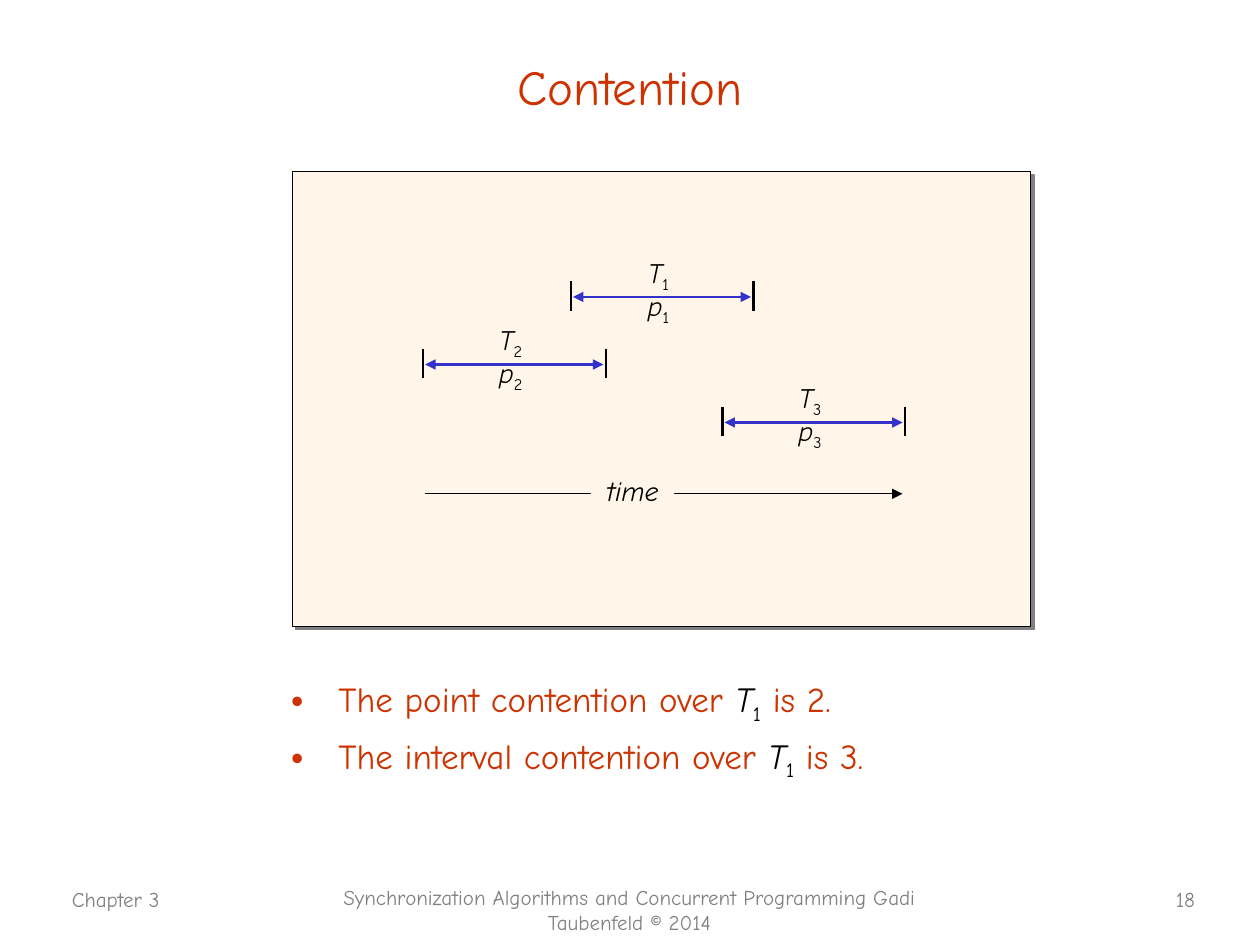
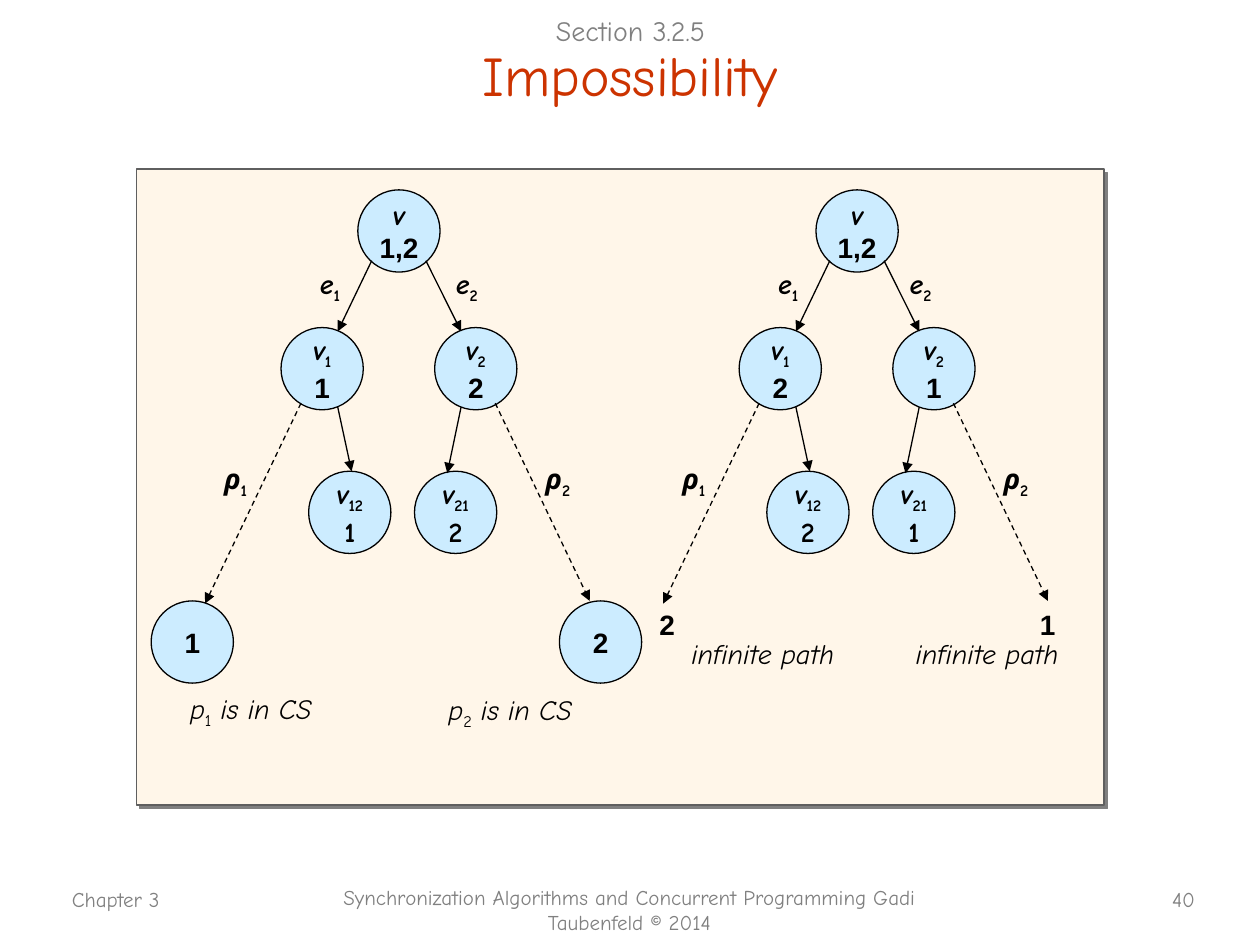
"""Build two slides on contention and impossibility."""
from pptx import Presentation as Deck
from pptx.dml.color import RGBColor as RGB
from pptx.enum.dml import MSO_LINE as Dash
from pptx.enum.shapes import MSO_CONNECTOR as Link, MSO_SHAPE as Kind
from pptx.enum.text import MSO_ANCHOR as Anchor, MSO_AUTO_SIZE as Fit, PP_ALIGN as Align
from pptx.oxml.ns import qn
from pptx.util import Pt
from lxml.etree import SubElement as Sub

FONT = "Comic Neue"
RED, GRAY, BLACK, BLUE = "CC3300", "808080", "000000", "3333CC"
CREAM, SKY, EDGE = "FFF6E9", "CCECFF", "5F5F5F"
LABEL = 16
NODE = 47


def tint(code):
    return RGB.from_string(code)


def write(par, text, size=LABEL, color=BLACK, bold=False, italic=False, base=0, rtl=False):
    run = par.add_run()
    run.text = text
    font = run.font
    font.name, font.size, font.bold, font.italic = FONT, Pt(size), bold, italic
    font.color.rgb = tint(color)
    props = run._r.get_or_add_rPr()
    if base:
        props.set("baseline", str(base * 1000))
    if rtl:
        par._p.get_or_add_pPr().set("rtl", "1")
        Sub(props, qn("a:cs")).set("typeface", "Arial")


def plain(text, **style):
    return [(text, style)]


def index(name, low, **style):
    return [(name, {"italic": True, **style}), (low, {"base": -25, **style})]


class Page:
    def __init__(self, deck):
        self.deck = deck

    def start(self, layout, title, box, size, number):
        self.slide = self.deck.slides.add_slide(self.deck.slide_layouts[layout])
        self.shapes = self.slide.shapes
        self.fill(self.place(self.shapes.title, box), [plain(title, size=size, color=RED)],
                  Align.CENTER, Anchor.MIDDLE)
        note = {"size": 12, "color": GRAY}
        self.text((656, 503.3, 34, 21.6), plain(number, **note), Align.RIGHT)
        self.text((34, 503.3, 150, 36), plain("Chapter 3", **note))
        self.text((185.8, 501.8, 347.8, 36), plain(
            "Synchronization Algorithms and Concurrent Programming Gadi Taubenfeld © 2014",
            **note), Align.CENTER)

    def place(self, shape, box):
        shape.left, shape.top, shape.width, shape.height = map(Pt, box)
        return shape

    def fill(self, shape, lines, align=Align.LEFT, anchor=Anchor.TOP, wrap=True):
        frame = shape.text_frame
        frame.auto_size, frame.word_wrap = Fit.NONE, wrap
        frame.vertical_anchor = anchor
        for i, parts in enumerate(lines):
            par = frame.add_paragraph() if i else frame.paragraphs[0]
            par.alignment = align
            for text, style in parts:
                write(par, text, **style)
        return frame

    def text(self, box, parts, align=Align.LEFT, anchor=Anchor.TOP, wrap=True):
        shape = self.shapes.add_textbox(*map(Pt, box))
        self.fill(shape, [parts], align, anchor, wrap)
        return shape

    def label(self, x, y, parts):
        return self.text((x - 16, y - 13.3, 32, 26.6), parts,
                         Align.CENTER, Anchor.MIDDLE, False)

    def shape(self, kind, box, color, edge):
        shape = self.shapes.add_shape(kind, *map(Pt, box))
        shape.shadow.inherit = False
        shape.fill.solid()
        shape.fill.fore_color.rgb = tint(color)
        shape.line.color.rgb = tint(edge)
        shape.line.width = Pt(0.75)
        return shape

    def panel(self, box, edge):
        shape = self.shape(Kind.RECTANGLE, box, CREAM, edge)
        shade = Sub(shape._element.spPr.find(qn("a:effectLst")), qn("a:outerShdw"))
        for key, value in (("blurRad", "0"), ("dist", str(Pt(2.8))), ("dir", "2700000")):
            shade.set(key, value)
        Sub(shade, qn("a:srgbClr")).set("val", GRAY)

    def node(self, x, y, *lines):
        shape = self.shape(Kind.OVAL, (x, y, NODE, NODE), SKY, BLACK)
        self.fill(shape, lines, Align.CENTER, Anchor.MIDDLE, False)

    def line(self, a, b, color=BLACK, width=0.75, ends=("tailEnd",), dash=False):
        link = self.shapes.add_connector(Link.STRAIGHT, *map(Pt, (*a, *b)))
        link.line.color.rgb = tint(color)
        link.line.width = Pt(width)
        if dash:
            link.line.dash_style = Dash.DASH
        props = link._element.spPr
        for end in ends:
            Sub(props.find(qn("a:ln")), qn("a:" + end)).set("type", "triangle")
        Sub(props, qn("a:effectLst"))

    def bullets(self, box, lines):
        frame = self.fill(self.place(self.slide.placeholders[1], box), lines)
        for i, par in enumerate(frame.paragraphs):
            props = par._p.get_or_add_pPr()
            props.set("marL", str(Pt(27)))
            props.set("indent", str(-Pt(27)))
            Sub(props, qn("a:buChar")).set("char", "•")
            par.space_before = Pt(4.8 if i else 0)

    def span(self, x, y, low):
        for tick in (x, x + 104.4):
            self.line((tick, y - 9), (tick, y + 8), width=1.5, ends=())
        self.line((x + 1.2, y), (x + 103, y), BLUE, 1.5, ("headEnd", "tailEnd"))
        self.label(x + 50, y - 12.9, index("T", low))
        self.label(x + 50, y + 6, index("p", low))

    def tree(self, dx, left, right, gap):
        bold = {"bold": True}
        strong = {"bold": True, "rtl": True}
        self.node(dx + 204.5, 108.5, plain("v", italic=True, **bold), plain("1,2", **strong))
        for x, y, low, value, style in (
                (160.6, 187.2, "1", left, strong), (248.4, 187.2, "2", right, strong),
                (176.4, 269.3, "12", left, bold), (236.9, 269.3, "21", right, bold)):
            self.node(dx + x, y, index("v", low, **bold), plain(value, **style))
        for a, b, dash in (
                ((212.4, 149), (193, 189.4), False), ((243.4, 149), (263.5, 189.4), False),
                ((193, 232.6), (200.9, 269.3), False), ((263.5, 232.6), (255.6, 270.4), False),
                ((172, 230.4), (117.2, 344.9), True), ((283, 230.4), (337, 343.4), True)):
            self.line((dx + a[0], a[1]), (dx + b[0], b[1]), dash=dash)
        for x, y, name, low in (
                (175.7, 149, "e", "1"), (253.4 - gap, 149, "e", "2"),
                (121, 260, "ρ", "1"), (304.6, 260, "ρ", "2")):
            self.text((dx + x, y, 30.2, 26.6), index(name, low, **bold), wrap=False)


def contend(page):
    page.start(1, "Contention", (54, 15.8, 612, 66.2), 28, "18")
    page.panel((167, 98, 422, 260), BLACK)
    for x, y, low in ((326.2, 169.7, "1"), (241.8, 208.3, "2"), (412.8, 241.4, "3")):
        page.span(x, y, low)
    page.line((242.7, 282.2), (515.7, 282.2))
    time = page.text((337.7, 267.1, 47.5, 26.6), plain("time", italic=True),
                     Align.CENTER, Anchor.MIDDLE, False)
    time.fill.solid()
    time.fill.fore_color.rgb = tint(CREAM)
    warm = {"size": 20, "color": RED}
    page.bullets((159.1, 383.8, 408.2, 72), [
        plain(f"The {kind} contention over ", **warm) + index("T", "1", size=20)
        + plain(f" is {count}.", **warm)
        for kind, count in (("point", 2), ("interval", 3))])


def impossible(page):
    page.start(5, "Impossibility", (54, 18.7, 612, 46.8), 32, "40")
    page.text((292.3, 4.3, 136, 26), plain("Section 3.2.5", color=GRAY),
              Align.CENTER, Anchor.MIDDLE)
    page.panel((77.8, 96.5, 553, 363.6), EDGE)
    page.tree(0, "1", "2", 0)
    page.tree(261.8, "2", "1", 2.5)
    for x, value in ((86.4, "1"), (319.7, "2")):
        page.node(x, 343.4, plain(value, bold=True, rtl=True))
    for x, value in ((381.2, "2"), (598.7, "1")):
        page.label(x, 356.8, plain(value, bold=True, rtl=True))
    for x, y, low in ((101.5, 391.7, "1"), (249.1, 392.4, "2")):
        page.text((x, y, 99, 26.6), index("p", low) + plain(" is in CS", italic=True))
    for x in (388, 516.2):
        page.text((x, 360, 96.5, 46), plain("infinite path", italic=True))


def main():
    deck = Deck()
    deck.slide_width, deck.slide_height = Pt(720), Pt(540)
    page = Page(deck)
    contend(page)
    impossible(page)
    deck.save("out.pptx")


if __name__ == "__main__":
    main()
